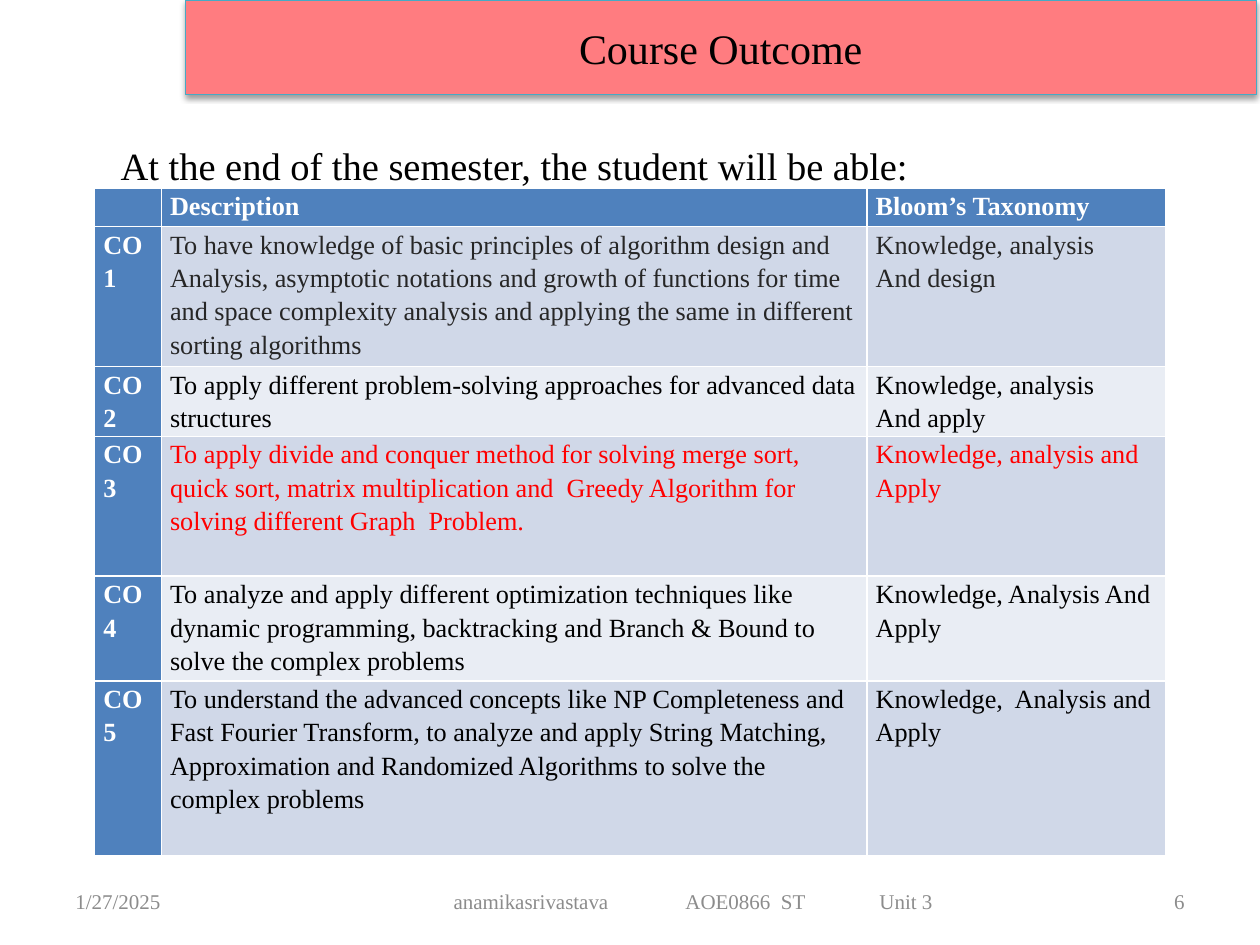
from lxml import etree
from pptx import Presentation, util as u
from pptx.dml.color import RGBColor
from pptx.enum import text
from pptx.oxml import ns

BLUE, WHITE, BLACK, GREY = "4F81BD", "FFFFFF", "000000", "8C8C8C"
BANDS = ("D0D8E8", "E9EDF4")
LINE_ROWS = 3.7
OUTCOMES = [
    (4, "262626", "To have knowledge of basic principles of algorithm design and Analysis, "
     "asymptotic notations and growth of functions for time and space complexity analysis "
     "and applying the same in different sorting algorithms",
     ["Knowledge, analysis", "And design"]),
    (2, BLACK, "To apply different problem-solving approaches for advanced data structures",
     ["Knowledge, analysis", "And apply"]),
    (4, "FF0000", "To apply divide and conquer method for solving merge sort, quick sort, "
     "matrix multiplication and  Greedy Algorithm for solving different Graph  Problem.",
     ["Knowledge, analysis and Apply"]),
    (3, BLACK, "To analyze and apply different optimization techniques like dynamic "
     "programming, backtracking and Branch & Bound to solve the complex problems",
     ["Knowledge, Analysis And Apply"]),
    (5, BLACK, "To understand the advanced concepts like NP Completeness and Fast Fourier "
     "Transform, to analyze and apply String Matching, Approximation and Randomized "
     "Algorithms to solve the complex problems",
     ["Knowledge,  Analysis and Apply"]),
]


def rgb(value):
    """Turn a hex string into a colour."""
    return RGBColor.from_string(value)


class Deck:
    """Hold the style and the current slide, laid out on a grid of 100 columns by 100 rows."""

    font = "Times New Roman"

    def __init__(self):
        """Open a 10 by 7.5 inch deck with one title-only slide."""
        self.prs = Presentation()
        self.prs.slide_width, self.prs.slide_height = u.Inches(10), u.Inches(7.5)
        self.s = self.prs.slides.add_slide(self.prs.slide_layouts[5])

    def cols(self, n):
        """Give the length of n grid columns."""
        return int(self.prs.slide_width * n / 100)

    def rows(self, n):
        """Give the length of n grid rows."""
        return int(self.prs.slide_height * n / 100)

    def area(self, x, y, w, h):
        """Give left, top, width and height of a grid area."""
        return self.cols(x), self.rows(y), self.cols(w), self.rows(h)

    def run(self, p, content, size, color, bold=False):
        """Add a styled run to a paragraph."""
        r = p.add_run()
        r.text = content
        r.font.name, r.font.size, r.font.bold = self.font, u.Pt(size), bold
        r.font.color.rgb = rgb(color)

    def title(self, content, *area):
        """Format the title placeholder as a coloured banner with a soft shadow."""
        sp = self.s.shapes.title
        sp.left, sp.top, sp.width, sp.height = self.area(*area)
        sp.fill.solid()
        sp.fill.fore_color.rgb = rgb("FF7C80")
        sp.line.color.rgb, sp.line.width = rgb("46AAC5"), u.Pt(0.75)
        sp.shadow.inherit = False
        effects = sp.element.spPr.find(ns.qn("a:effectLst"))
        shadow = etree.SubElement(effects, ns.qn("a:outerShdw"), blurRad="40000",
                                  dist="20000", dir="5400000", rotWithShape="0")
        color = etree.SubElement(shadow, ns.qn("a:srgbClr"), val=BLACK)
        etree.SubElement(color, ns.qn("a:alpha"), val="38000")
        tf = sp.text_frame
        tf.vertical_anchor = text.MSO_ANCHOR.MIDDLE
        p = tf.paragraphs[0]
        p.alignment = text.PP_ALIGN.CENTER
        self.run(p, content, 24, BLACK)

    def text(self, content, area, size, color, align=text.PP_ALIGN.LEFT,
             anchor=text.MSO_ANCHOR.MIDDLE):
        """Add a wrapping text box of one paragraph and return it."""
        sp = self.s.shapes.add_textbox(*self.area(*area))
        tf = sp.text_frame
        tf.word_wrap, tf.vertical_anchor = True, anchor
        p = tf.paragraphs[0]
        p.alignment = align
        self.run(p, content, size, color)
        return sp

    def tabbed(self, parts, stops, indent, *area):
        """Add a footer line whose parts start at tab stops given in columns."""
        sp = self.text("\t".join(parts), area, 12, GREY)
        sp.text_frame.margin_left = self.cols(indent)
        tabs = etree.SubElement(sp.text_frame.paragraphs[0]._p.get_or_add_pPr(),
                                ns.qn("a:tabLst"))
        for stop in stops:
            etree.SubElement(tabs, ns.qn("a:tab"), pos=str(self.cols(stop)), algn="l")

    def cell(self, cell, lines, fill, color, bold):
        """Fill a table cell and write its lines as paragraphs."""
        cell.fill.solid()
        cell.fill.fore_color.rgb = rgb(fill)
        cell.margin_left = cell.margin_right = self.cols(0.7)
        cell.margin_top = cell.margin_bottom = 0
        for i, line in enumerate(lines):
            tf = cell.text_frame
            p = tf.add_paragraph() if i else tf.paragraphs[0]
            p.line_spacing = 1.15
            self.run(p, line, 15, color, bold)

    def outcome_table(self, x, y, widths):
        """Add the table of outcomes, each row as high as its number of lines."""
        counts = [1] + [outcome[0] for outcome in OUTCOMES]
        area = self.area(x, y, sum(widths), sum(counts) * LINE_ROWS)
        table = self.s.shapes.add_table(len(counts), len(widths), *area).table
        for column, width in zip(table.columns, widths):
            column.width = self.cols(width)
        for row, count in zip(table.rows, counts):
            row.height = self.rows(count * LINE_ROWS)
        for i, lines in enumerate(([], ["Description"], ["Bloom’s Taxonomy"])):
            self.cell(table.cell(0, i), lines, BLUE, WHITE, True)
        for n, (_, color, description, levels) in enumerate(OUTCOMES, 1):
            band = BANDS[(n - 1) % 2]
            self.cell(table.cell(n, 0), [f"CO{n}"], BLUE, WHITE, True)
            self.cell(table.cell(n, 1), [description], band, color, False)
            self.cell(table.cell(n, 2), levels, band, color, False)


def main():
    """Build the course outcome slide."""
    deck = Deck()
    deck.title("Course Outcome", 14.7, 0, 85, 10)
    deck.outcome_table(7.5, 19.9, (5.3, 56, 23.7))
    foot, height = 92.7, 5.3
    deck.text("1/27/2025", (5, foot, 23.3, height), 12, GREY)
    deck.tabbed(["anamikasrivastava", "AOE0866  ST", "Unit 3"], (18.4, 33.8), 8.5,
                27.5, foot, 55, height)
    deck.text("6", (71.7, foot, 23.3, height), 12, GREY, text.PP_ALIGN.RIGHT)
    intro = deck.text("At the end of the semester, the student will be able:",
                      (8.6, 13.6, 85, 6.7), 22, BLACK, anchor=text.MSO_ANCHOR.TOP)
    intro.text_frame.auto_size = text.MSO_AUTO_SIZE.SHAPE_TO_FIT_TEXT
    p = intro.text_frame.paragraphs[0]
    p.line_spacing, p.space_after = 1.15, u.Pt(10)
    deck.prs.save("out.pptx")


if __name__ == "__main__":
    main()
